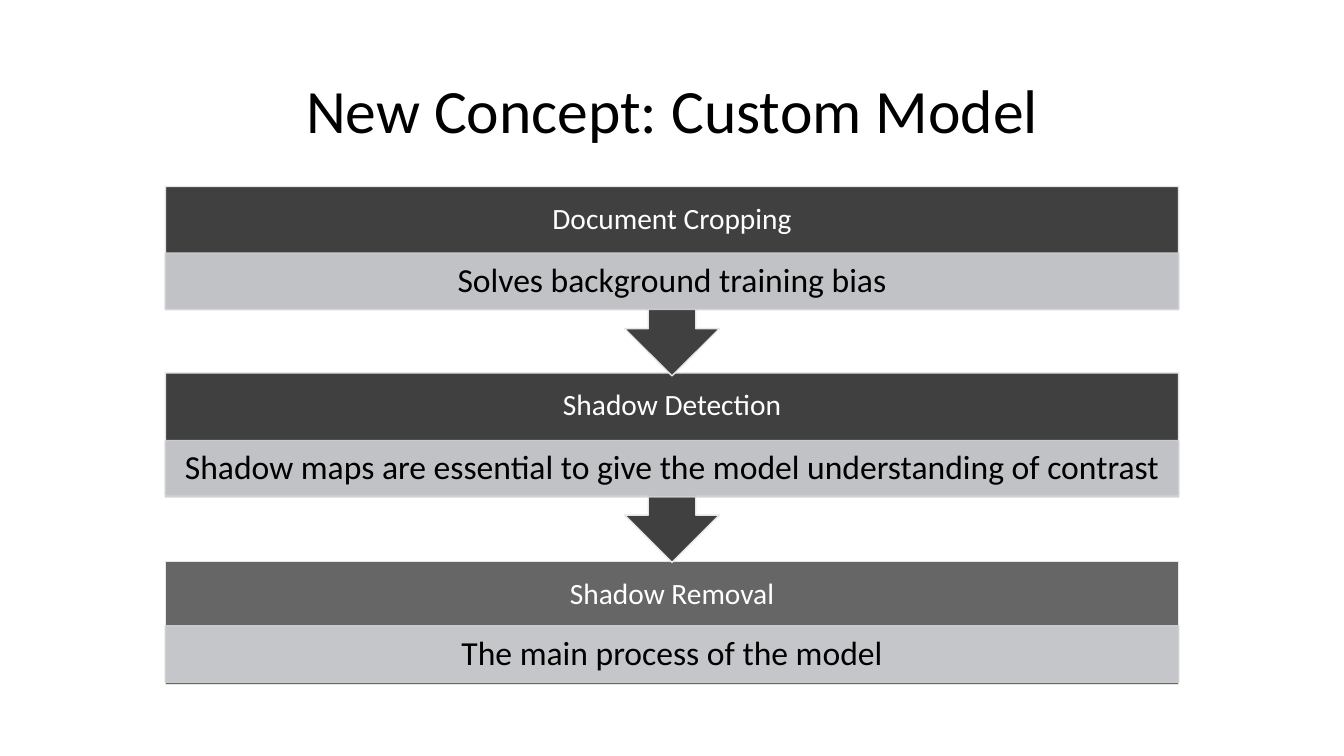
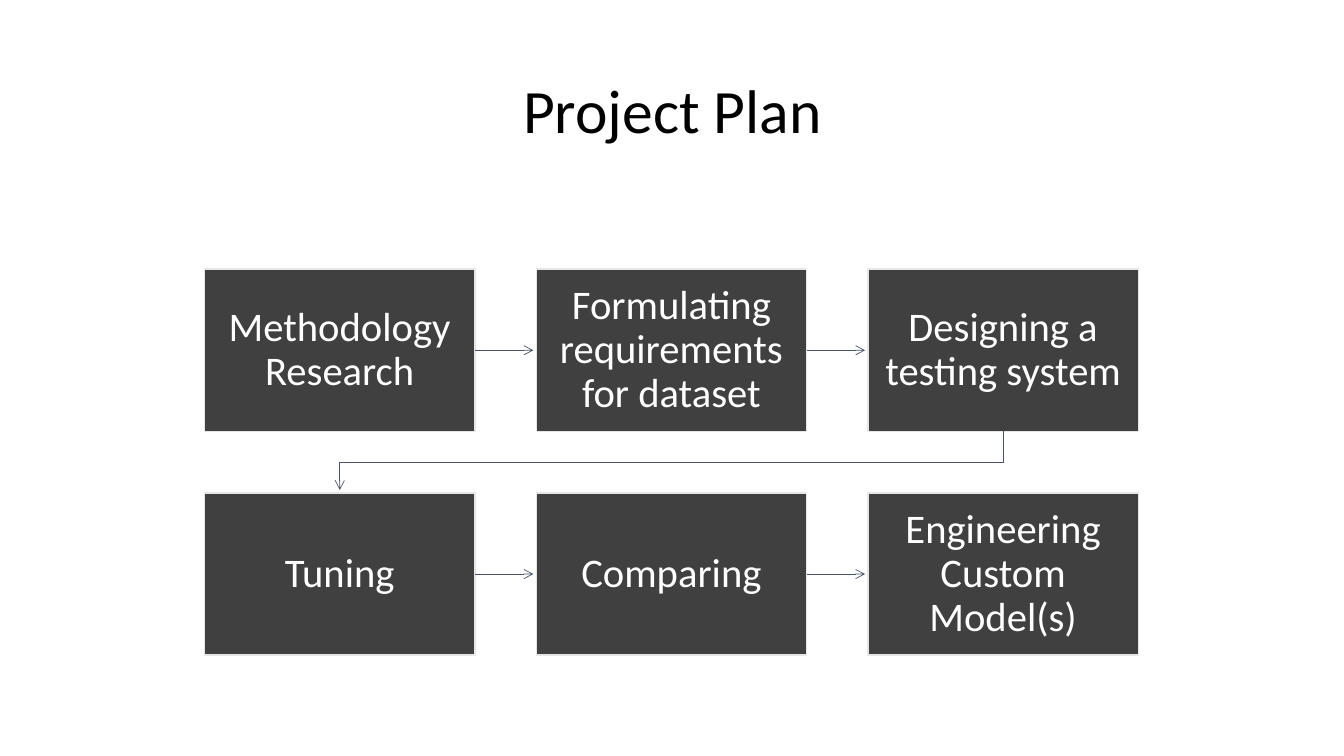
"""Build two slides: the stages of a custom model and a project plan."""
import lxml.etree
import pptx
import pptx.dml.color
import pptx.enum.shapes
import pptx.enum.text
import pptx.oxml.ns
import pptx.util

Inches = pptx.util.Inches
Pt = pptx.util.Pt
qn = pptx.oxml.ns.qn
Kind = pptx.enum.shapes.MSO_SHAPE
RGB = pptx.dml.color.RGBColor.from_string


class Theme:
    font = "Calibri"
    ink, white = RGB("000000"), RGB("FFFFFF")
    dark, gray = RGB("404040"), RGB("666666")
    pale, edge, navy = RGB("CFD1D4"), RGB("E7E6E6"), RGB("44546A")
    title, head, note, step = Pt(44), Pt(21), Pt(24), Pt(29)
    rule, thin = Pt(1), Pt(0.5)
    alpha = "90000"


def write(shape, text, size, color, pads):
    frame = shape.text_frame
    frame.text = text
    para = frame.paragraphs[0]
    form = {
        frame: {
            "word_wrap": True,
            "auto_size": pptx.enum.text.MSO_AUTO_SIZE.NONE,
            "vertical_anchor": pptx.enum.text.MSO_ANCHOR.MIDDLE,
            **dict(zip(("margin_left", "margin_top", "margin_right", "margin_bottom"),
                       map(Inches, pads))),
        },
        para: {"alignment": pptx.enum.text.PP_ALIGN.CENTER, "line_spacing": 0.9},
        para.runs[0].font: {"name": Theme.font, "size": size},
        para.runs[0].font.color: {"rgb": color},
    }
    for item, values in form.items():
        for name, value in values.items():
            setattr(item, name, value)


def block(slide, kind, box, fill, line):
    shape = slide.shapes.add_shape(kind, *map(Inches, box))
    shape.shadow.inherit = False
    shape.fill.solid()
    shape.fill.fore_color.rgb = fill
    shape.line.color.rgb = line
    shape.line.width = Theme.rule
    return shape


deck = pptx.Presentation()
deck.slide_width, deck.slide_height = Inches(13.33), Inches(7.5)

slides = []
for text in ("New Concept: Custom Model", "Project Plan"):
    slide = deck.slides.add_slide(deck.slide_layouts[5])
    title = slide.shapes.title
    place = {"left": 0.92, "top": 0.4, "width": 11.5, "height": 1.45}
    for name, value in place.items():
        setattr(title, name, Inches(value))
    write(title, text, Theme.title, Theme.ink, (0.1, 0.05, 0.1, 0.05))
    slides.append(slide)
model, plan = slides

left, wide, strip = 1.64, 10.05, 0.56
arrow = Kind.DOWN_ARROW_CALLOUT
stages = [
    ("Document Cropping", "Solves background training bias",
     arrow, 1.85, 1.88, 0.66, Theme.dark),
    ("Shadow Detection",
     "Shadow maps are essential to give the model understanding of contrast",
     arrow, 3.7, 1.88, 0.67, Theme.dark),
    ("Shadow Removal", "The main process of the model",
     Kind.RECTANGLE, 5.57, 1.22, 0.64, Theme.gray),
]
for head, note, kind, top, tall, drop, fill in reversed(stages):
    stage = block(model, kind, (left, top, wide, tall), fill, Theme.edge)
    write(stage, head, Theme.head, Theme.white, (0.16, 0, 0.16, strip))
    band = block(model, Kind.RECTANGLE, (left, top + drop, wide, strip),
                 Theme.pale, Theme.pale)
    write(band, note, Theme.note, Theme.ink, (0.19, 0.03, 0.19, 0.03))
    for color in band.element.spPr.iter(qn("a:srgbClr")):
        lxml.etree.SubElement(color, qn("a:alpha"), val=Theme.alpha)

steps = [
    "Methodology Research", "Formulating requirements for dataset",
    "Designing a testing system", "Tuning", "Comparing",
    "Engineering Custom Model(s)",
]
cols = 3
boxes = []
for i, text in enumerate(steps):
    row, col = divmod(i, cols)
    box = block(plan, Kind.RECTANGLE,
                (2.03 + 3.29 * col, 2.67 + 2.22 * row, 2.68, 1.61),
                Theme.dark, Theme.edge)
    write(box, text, Theme.step, Theme.white, (0.13, 0.14, 0.13, 0.14))
    boxes.append(box)

gap = Inches(0.03)
for i, (box, after) in enumerate(zip(boxes, boxes[1:]), 1):
    if i % cols:
        mid = box.top + box.height // 2
        link = plan.shapes.add_connector(
            pptx.enum.shapes.MSO_CONNECTOR.STRAIGHT,
            box.left + box.width, mid, after.left - gap, mid)
        link.begin_connect(box, 3)
        lxml.etree.SubElement(link.element.spPr, qn("a:effectLst"))
    else:
        start, end = (b.left + b.width // 2 for b in (box, after))
        base = box.top + box.height
        turn = (base + after.top) // 2
        pen = plan.shapes.build_freeform(start, base)
        pen.add_line_segments(
            [(start, turn), (end, turn), (end, after.top - gap)], close=False)
        link = pen.convert_to_shape()
        link.fill.background()
        link.shadow.inherit = False
    link.line.color.rgb = Theme.navy
    link.line.width = Theme.thin
    lxml.etree.SubElement(link.element.spPr.find(qn("a:ln")),
                          qn("a:tailEnd"), type="arrow")

deck.save("out.pptx")
